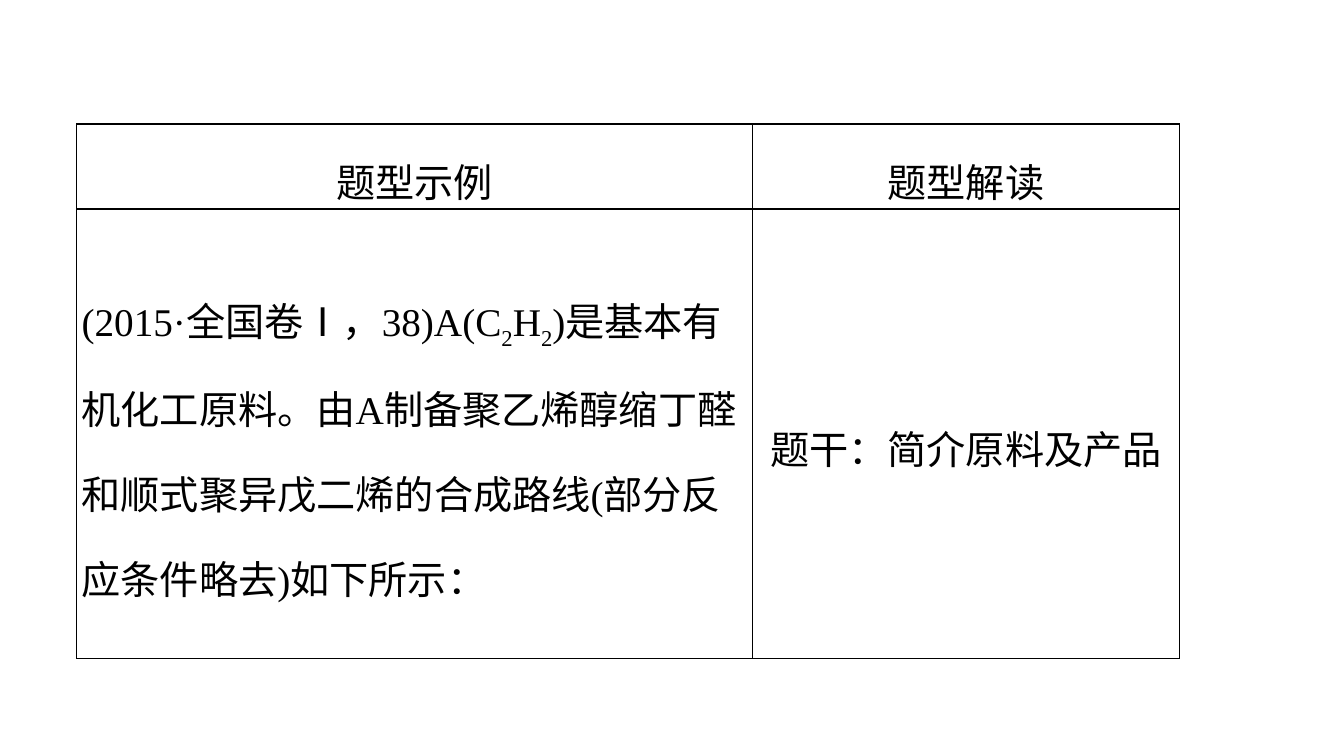
"""Build a slide with a two-column table of exam question types."""
from lxml.etree import SubElement
from pptx import Presentation
from pptx.dml.color import RGBColor
from pptx.enum.text import MSO_ANCHOR as Anchor, PP_ALIGN as Align
from pptx.oxml.ns import qn
from pptx.util import Inches, Pt

COLORS = {"text": "000000", "border": "000000"}
LATIN = "Times New Roman"
CHINESE = "Noto Sans CJK SC"


def add_run(paragraph, text, font=LATIN, size=28, baseline=0):
    run = paragraph.add_run()
    run.text = text
    run.font.name = font
    run.font.size = Pt(size)
    run.font.color.rgb = RGBColor.from_string(COLORS["text"])
    properties = run._r.get_or_add_rPr()
    properties.set("lang", "zh-CN")
    if baseline:
        properties.set("baseline", str(baseline * 1000))
    SubElement(properties, qn("a:ea"), typeface=CHINESE)


def add_borders(cell, width=1):
    properties = cell._tc.get_or_add_tcPr()
    for side in ("lnL", "lnR", "lnT", "lnB"):
        line = SubElement(properties, qn(f"a:{side}"), w=str(Pt(width)))
        fill = SubElement(line, qn("a:solidFill"))
        SubElement(fill, qn("a:srgbClr"), val=COLORS["border"])


presentation = Presentation()
presentation.slide_width = Inches(13.33)
presentation.slide_height = Inches(7.5)
slide = presentation.slides.add_slide(presentation.slide_layouts[6])

column_widths = [6.7, 4.24]
row_heights = [0.5, 4.46]
subscript = {"baseline": -25}
question = [
    ("(2015·全国卷", {}),
    ("Ⅰ", {"font": CHINESE}),
    ("，38)A(C", {}),
    ("2", subscript),
    ("H", {}),
    ("2", subscript),
    (")是基本有机化工原料。由A制备聚乙烯醇缩丁醛和顺式聚异戊二烯的合成路线"
     "(部分反应条件略去)如下所示：", {}),
]
rows = [
    [(Align.CENTER, [("题型示例", {})]), (Align.CENTER, [("题型解读", {})])],
    [(Align.LEFT, question), (Align.CENTER, [("题干：简介原料及产品", {})])],
]

table = slide.shapes.add_table(
    len(rows), len(column_widths), Inches(0.76), Inches(1.23),
    Inches(sum(column_widths)), Inches(sum(row_heights))).table
table.first_row = False
table.horz_banding = False
for column, width in zip(table.columns, column_widths):
    column.width = Inches(width)
for row, height in zip(table.rows, row_heights):
    row.height = Inches(height)

for row, contents in zip(table.rows, rows):
    for cell, (alignment, runs) in zip(row.cells, contents):
        add_borders(cell)
        cell.fill.background()
        cell.vertical_anchor = Anchor.MIDDLE
        cell.margin_left = cell.margin_right = Inches(0.05)
        cell.margin_top = cell.margin_bottom = Inches(0)
        paragraph = cell.text_frame.paragraphs[0]
        paragraph.alignment = alignment
        paragraph.line_spacing = 1.5
        for text, style in runs:
            add_run(paragraph, text, **style)

presentation.save("out.pptx")
